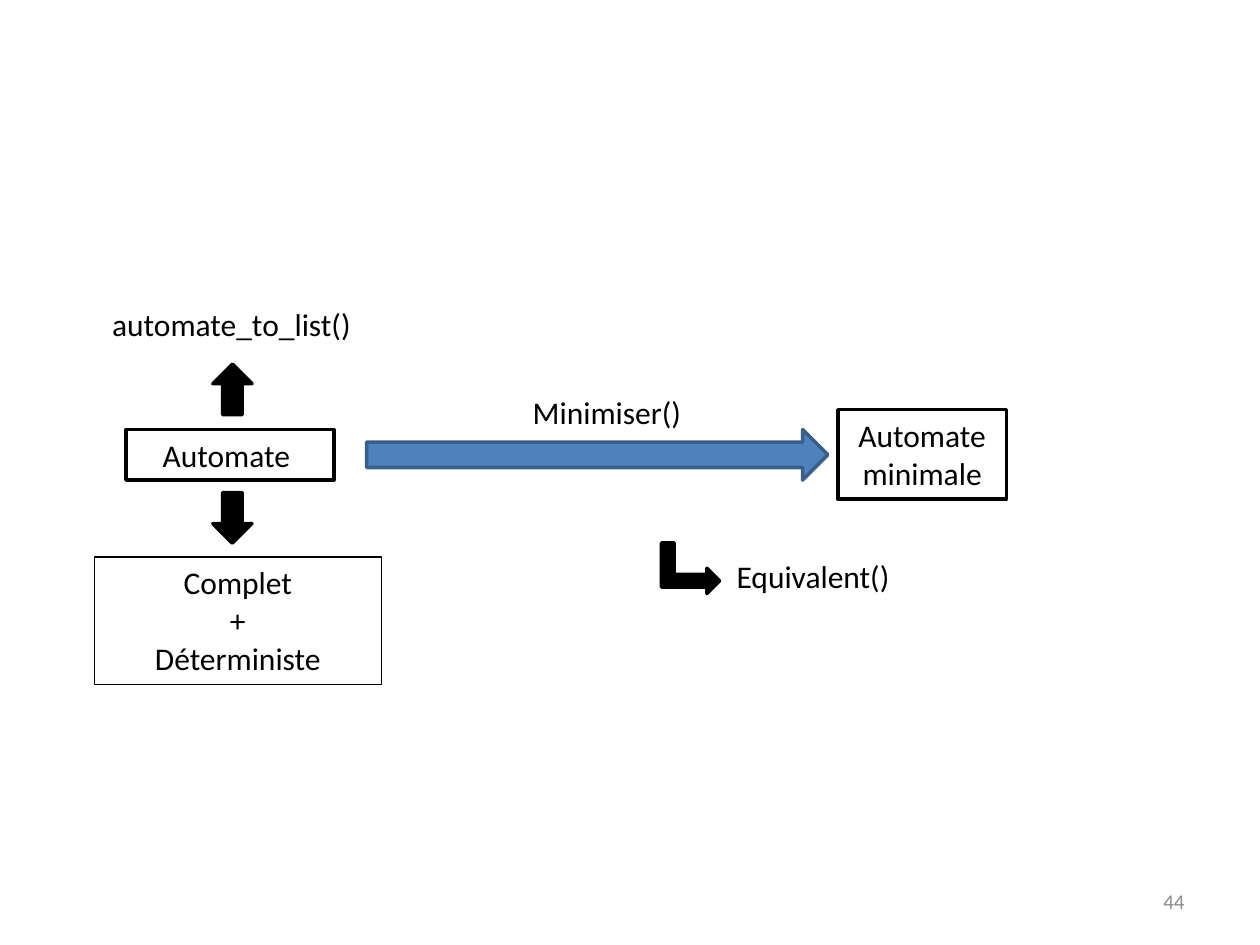
from dataclasses import dataclass

from pptx import Presentation
from pptx.dml.color import RGBColor
from pptx.enum.shapes import MSO_SHAPE
from pptx.enum.text import MSO_ANCHOR, PP_ALIGN
from pptx.util import Cm, Pt


@dataclass(frozen=True)
class Theme:
    font: str = "Calibri"
    black: str = "000000"
    white: str = "FFFFFF"
    blue: str = "4F81BD"
    dark_blue: str = "3A5F8C"
    grey: str = "8C8C8C"
    body_size: int = 18
    number_size: int = 12
    thick: float = 2
    thin: float = 0.75


class Diagram:
    """Draws the boxes, labels and arrows of one page in a shared style."""

    def __init__(self, page, theme):
        self.page = page
        self.theme = theme

    def set_text(self, shape, text, align, size, color, anchor=MSO_ANCHOR.TOP):
        frame = shape.text_frame
        frame.word_wrap = True
        frame.vertical_anchor = anchor
        frame.text = text
        for para in frame.paragraphs:
            para.alignment = align
            for span in para.runs:
                span.font.name = self.theme.font
                span.font.size = Pt(size)
                span.font.color.rgb = RGBColor.from_string(color)

    def shape(self, kind, place, fill, line, width):
        shape = self.page.shapes.add_shape(kind, *map(Cm, place))
        shape.shadow.inherit = False
        shape.fill.solid()
        shape.fill.fore_color.rgb = RGBColor.from_string(fill)
        if width:
            shape.line.color.rgb = RGBColor.from_string(line)
            shape.line.width = Pt(width)
        else:
            shape.line.fill.background()
        return shape

    def box(self, text, place, border):
        theme = self.theme
        box = self.shape(MSO_SHAPE.RECTANGLE, place, theme.white, theme.black, border)
        self.set_text(box, text, PP_ALIGN.CENTER, theme.body_size, theme.black)

    def arrow(self, kind, place, fill, line, rotation=0):
        arrow = self.shape(kind, place, fill, line, self.theme.thick)
        arrow.rotation = rotation

    def label(self, text, place):
        label = self.page.shapes.add_textbox(*map(Cm, place))
        self.set_text(label, text, PP_ALIGN.LEFT, self.theme.body_size, self.theme.black)

    def page_number(self, text, place):
        number = self.page.shapes.add_textbox(*map(Cm, place))
        self.set_text(number, text, PP_ALIGN.RIGHT, self.theme.number_size,
                      self.theme.grey, MSO_ANCHOR.MIDDLE)


def main():
    deck = Presentation()
    deck.slide_width, deck.slide_height = Cm(25.4), Cm(19.05)
    theme = Theme()
    diagram = Diagram(deck.slides.add_slide(deck.slide_layouts[6]), theme)
    row = 1.02

    diagram.page_number("44", (18.21, 17.65, 5.92, row))
    diagram.arrow(MSO_SHAPE.RIGHT_ARROW, (7.39, 8.66, 9.3, row), theme.blue, theme.dark_blue)
    diagram.box("Automate ", (2.54, 8.66, 4.19, row), theme.thick)
    diagram.box("Automate minimale", (16.89, 8.26, 3.4, 1.8), theme.thick)
    diagram.label("Minimiser()", (10.49, 7.8, 3.61, row))
    diagram.box("Complet\n+\nDéterministe", (1.9, 11.23, 5.79, 2.57), theme.thin)
    diagram.box("automate_to_list()", (1.96, 6.02, 5.41, row), 0)
    for top, rotation in ((9.93, 0), (7.34, 180)):
        diagram.arrow(MSO_SHAPE.DOWN_ARROW, (4.29, top, 0.79, row),
                      theme.black, theme.black, rotation)
    diagram.arrow(MSO_SHAPE.BENT_UP_ARROW, (13.41, 10.87, row, 1.17),
                  theme.black, theme.black, 90)
    diagram.label("Equivalent()", (14.6, 11.1, 3.61, row))

    deck.save("out.pptx")


if __name__ == "__main__":
    main()
